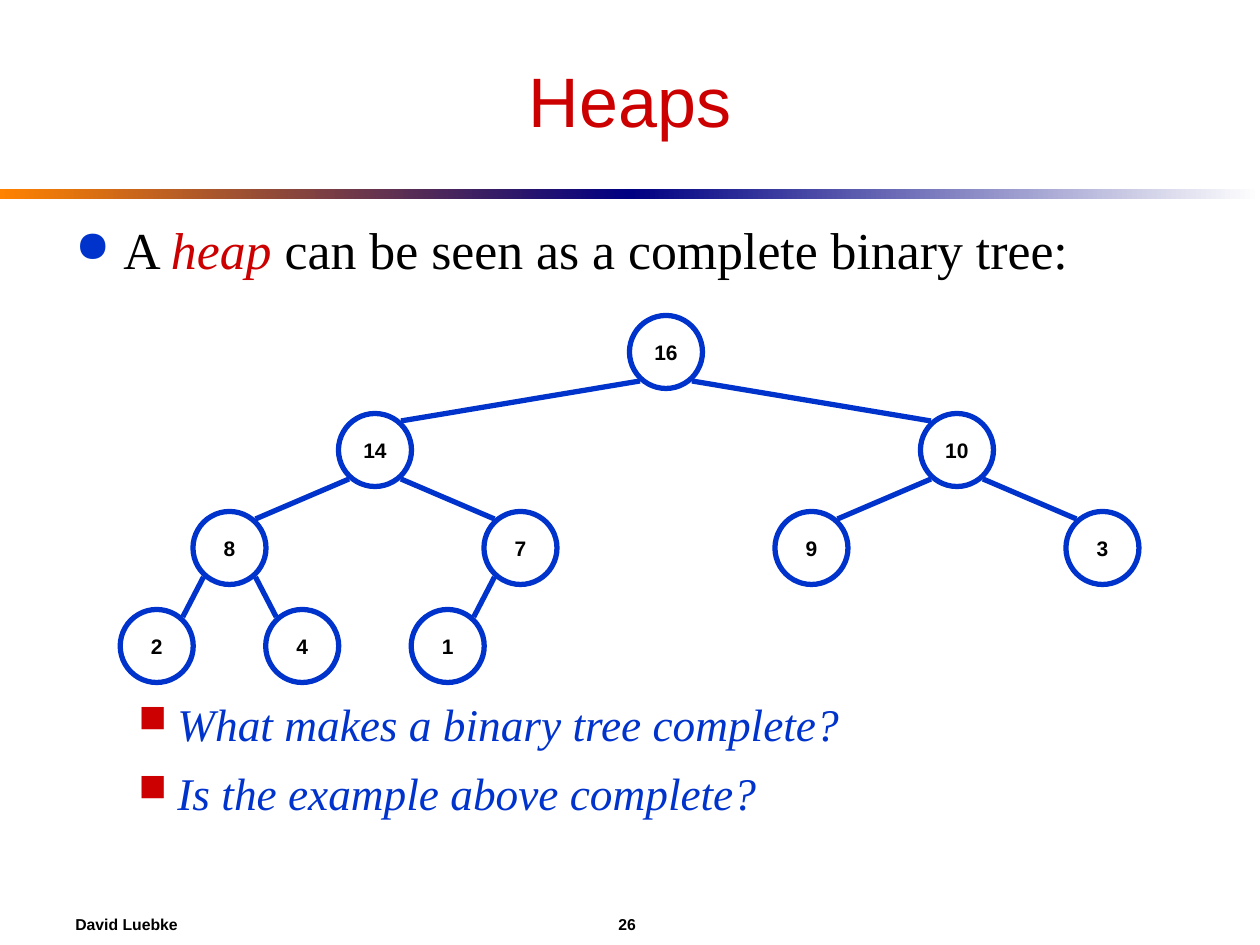
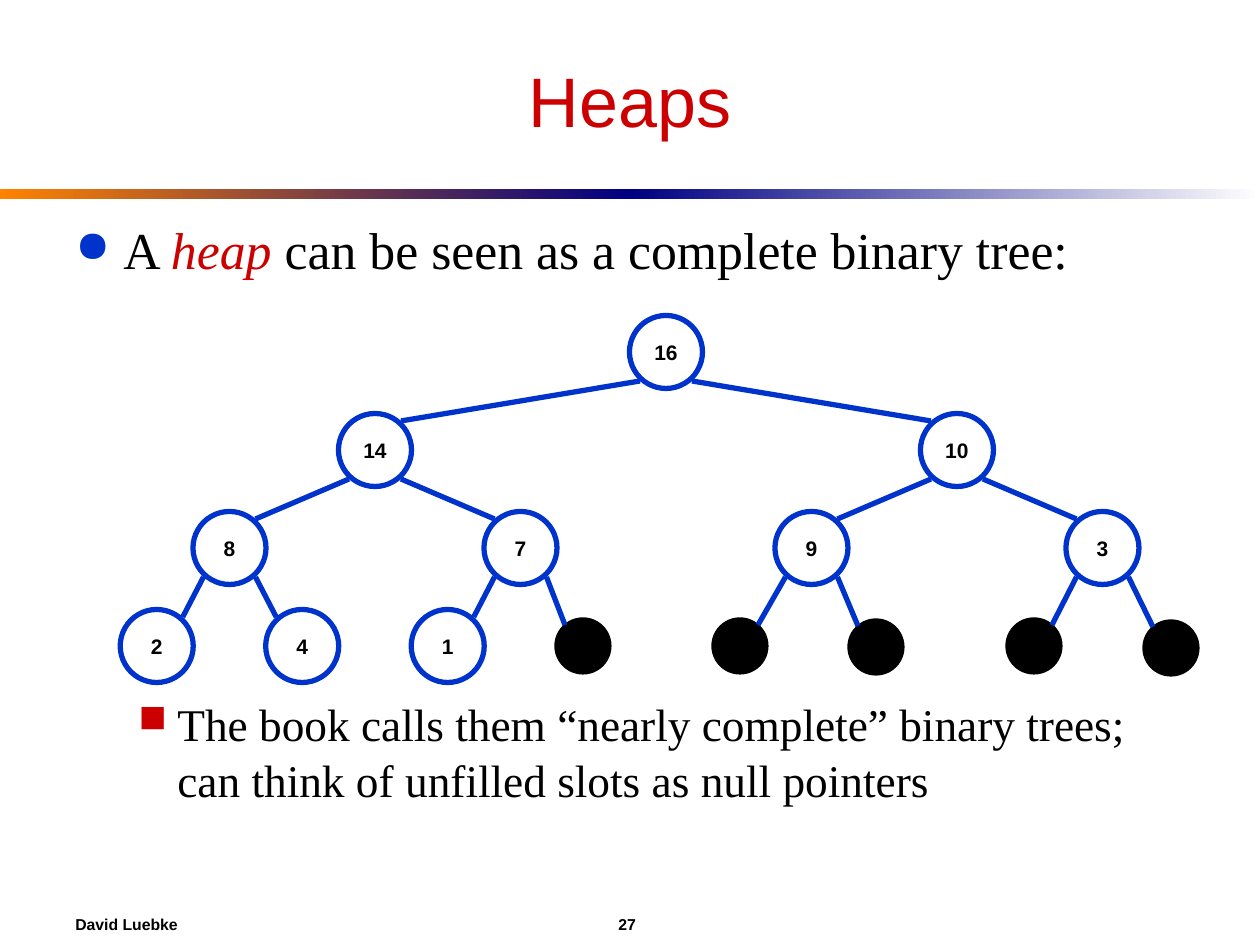
from lxml import etree
from pptx import Presentation
from pptx.dml.color import RGBColor
from pptx.enum.shapes import MSO_CONNECTOR, MSO_SHAPE
from pptx.enum.text import MSO_ANCHOR, PP_ALIGN
from pptx.oxml.ns import qn
from pptx.util import Emu, Pt

OVAL, RECTANGLE = MSO_SHAPE.OVAL, MSO_SHAPE.RECTANGLE
STRAIGHT = MSO_CONNECTOR.STRAIGHT
MIDDLE, CENTER = MSO_ANCHOR.MIDDLE, PP_ALIGN.CENTER

RED = RGBColor(0xCC, 0x00, 0x00)
BLUE = RGBColor(0x00, 0x33, 0xCC)
NAVY = RGBColor(0x00, 0x00, 0x82)
ORANGE = RGBColor(0xFF, 0x82, 0x00)
WHITE = RGBColor(0xFF, 0xFF, 0xFF)
BLACK = RGBColor(0x00, 0x00, 0x00)
SANS, SERIF = "Arial", "Times New Roman"

PX = 914400 / 126
WIDTH, HEIGHT = 1260, 945

# Tree layout: every level splits the same width evenly
TREE_LEFT, TREE_WIDTH = 84, 1164
ROOT_Y, LEVEL_GAP = 352, 98
NODE_SIZE, NULL_SIZE = 73, 52
EDGE_DX, EDGE_DY = 26, 29
NULL_DX, NULL_DY = 18, 21
HEAP = [16, 14, 10, 8, 7, 9, 3, 2, 4, 1]
NULL_CENTERS = [(583, 646), (740, 646), (876, 647), (1034, 646), (1171, 648)]

INTRO = [("A ", BLACK, False), ("heap", RED, True),
         (" can be seen as a complete binary tree:", BLACK, False)]
SLIDES = [
    (26, [("What makes a binary tree complete?", BLUE, True),
          ("Is the example above complete?", BLUE, True)], []),
    (27, [("The book calls them “nearly complete” binary trees; "
           "can think of unfilled slots as null pointers", BLACK, False)],
     NULL_CENTERS),
]


def px(*lengths):
    return [Emu(round(length * PX)) for length in lengths]


def add_span(para, text, font, size, color, bold=False, italic=False):
    span = para.add_run()
    span.text = text
    span.font.name, span.font.size = font, Pt(size)
    span.font.bold, span.font.italic = bold, italic
    span.font.color.rgb = color


deck = Presentation()
deck.slide_width, deck.slide_height = px(WIDTH, HEIGHT)

for number, remarks, null_centers in SLIDES:
    page = deck.slides.add_slide(deck.slide_layouts[6])

    # Gradient rule below the title
    for left, start, end in [(0, ORANGE, NAVY), (WIDTH // 2, NAVY, WHITE)]:
        band = page.shapes.add_shape(RECTANGLE, *px(left, 189, WIDTH // 2, 10))
        band.shadow.inherit = False
        band.line.fill.background()
        band.fill.gradient()
        band.fill.gradient_angle = 0
        for stop, color in zip(band.fill.gradient_stops, (start, end)):
            stop.color.rgb = color

    # Title, body and footer frames
    frames = []
    for top, height in [(31, 137), (210, 598), (903, 42)]:
        frame = page.shapes.add_textbox(*px(63, top, 1134, height)).text_frame
        frame.word_wrap = True
        frames.append(frame)
    title, body, footer = frames
    title.vertical_anchor = footer.vertical_anchor = MIDDLE

    title.paragraphs[0].alignment = CENTER
    add_span(title.paragraphs[0], "Heaps", SANS, 40, RED)

    para = footer.paragraphs[0]
    add_span(para, f"David Luebke\t{number}", SANS, 9, BLACK, bold=True)
    tabs = etree.SubElement(para._p.get_or_add_pPr(), qn("a:tabLst"))
    etree.SubElement(tabs, qn("a:tab"), pos=str(px(543)[0]), algn="l")

    # Bulleted text: the first remark leaves room for the tree
    bullets = [(INTRO, 29.6, 4, 48, 48, "●", BLUE)]
    for index, remark in enumerate(remarks):
        space = 7 if index else 237
        bullets.append(([remark], 25.9, space, 102, 39, "■", RED))
    for index, (spans, size, space, margin, hang, mark, color) in enumerate(bullets):
        para = body.add_paragraph() if index else body.paragraphs[0]
        para.space_before = Pt(space)
        para.line_spacing = 1.03
        for text, text_color, italic in spans:
            add_span(para, text, SERIF, size, text_color, italic=italic)
        props = para._p.get_or_add_pPr()
        props.set("marL", str(px(margin)[0]))
        props.set("indent", str(px(-hang)[0]))
        bullet_color = etree.SubElement(props, qn("a:buClr"))
        etree.SubElement(bullet_color, qn("a:srgbClr"), val=str(color))
        etree.SubElement(props, qn("a:buSzPct"), val="85000")
        etree.SubElement(props, qn("a:buChar"), char=mark)

    # Nodes in array order; the parent of node i is (i - 1) // 2
    centers = []
    for index in range(len(HEAP)):
        level = (index + 1).bit_length() - 1
        place = index + 1 - 2 ** level
        step = TREE_WIDTH / 2 ** level
        centers.append((TREE_LEFT + step * (place + 0.5), ROOT_Y + LEVEL_GAP * level))
    centers += null_centers

    for index, (x, y) in enumerate(centers):
        is_null = index >= len(HEAP)
        size = NULL_SIZE if is_null else NODE_SIZE
        node = page.shapes.add_shape(OVAL, *px(x - size / 2, y - size / 2, size, size))
        node.shadow.inherit = False
        node.fill.solid()
        node.fill.fore_color.rgb = BLACK if is_null else WHITE
        node.line.color.rgb = BLACK if is_null else BLUE
        node.line.width = Pt(3)
        if not is_null:
            node.text_frame.word_wrap = False
            node.text_frame.vertical_anchor = MIDDLE
            para = node.text_frame.paragraphs[0]
            para.alignment = CENTER
            add_span(para, str(HEAP[index]), SANS, 12, BLACK, bold=True)

    for index, (x, y) in enumerate(centers[1:], start=1):
        parent_x, parent_y = centers[(index - 1) // 2]
        side = -1 if index % 2 else 1
        dx, dy = (EDGE_DX, EDGE_DY) if index < len(HEAP) else (NULL_DX, NULL_DY)
        edge = page.shapes.add_connector(STRAIGHT, *px(
            parent_x + side * EDGE_DX, parent_y + EDGE_DY, x - side * dx, y - dy))
        edge.line.color.rgb = BLUE
        edge.line.width = Pt(3)
        etree.SubElement(edge._element.spPr, qn("a:effectLst"))

deck.save("out.pptx")
